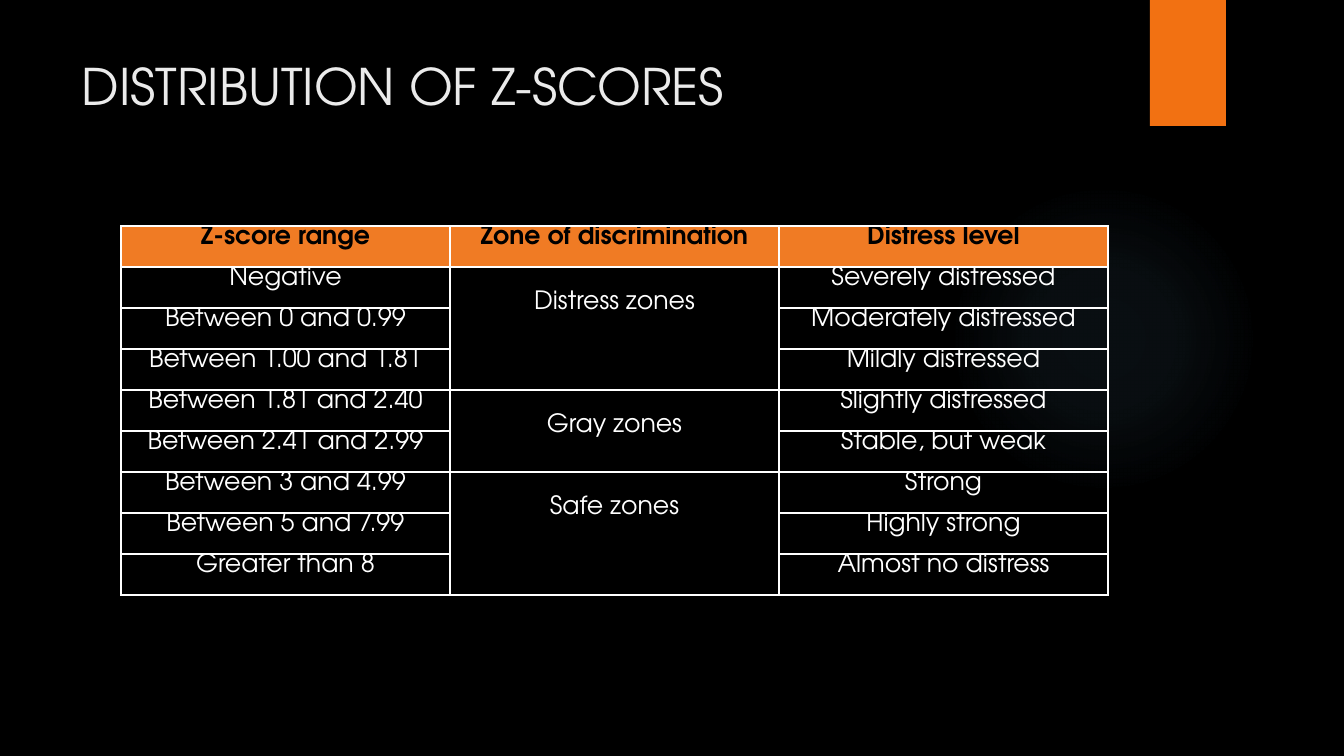
import dataclasses

import lxml.etree
import pptx
import pptx.dml.color
import pptx.enum.shapes
import pptx.enum.text
import pptx.oxml
import pptx.oxml.ns
import pptx.util

EMU_PER_PX = 914400 / 100.8
SLIDE_SIZE = (1344, 756)


@dataclasses.dataclass(frozen=True)
class Theme:
    font: str = "TeX Gyre Adventor"
    background: str = "000000"
    glow: str = "7AC4F0"
    accent: str = "F27112"
    header_fill: str = "F07B24"
    header_text: str = "000000"
    body_text: str = "FFFFFF"
    title_text: str = "EBEBEB"
    border: str = "FFFFFF"
    title_size: int = 36
    table_size: int = 18


THEME = Theme()
COLUMN_TITLES = ["Z-score range", "Zone of discrimination", "Distress level"]
ZONES = [
    ("Distress zones", [
        ("Negative", "Severely distressed"),
        ("Between 0 and 0.99", "Moderately distressed"),
        ("Between 1.00 and 1.81", "Mildly distressed"),
    ]),
    ("Gray zones", [
        ("Between 1.81 and 2.40", "Slightly distressed"),
        ("Between 2.41 and 2.99", "Stable, but weak"),
    ]),
    ("Safe zones", [
        ("Between 3 and 4.99", "Strong"),
        ("Between 5 and 7.99", "Highly strong"),
        ("Greater than 8", "Almost no distress"),
    ]),
]


def px(length):
    return pptx.util.Emu(round(length * EMU_PER_PX))


def rgb(value):
    return pptx.dml.color.RGBColor.from_string(value)


def apply_format(target, values):
    for name, value in values.items():
        setattr(target, name, value)


def write_text(frame, text, size, color, bold=False, **paragraph_format):
    paragraph = frame.paragraphs[0]
    apply_format(paragraph, paragraph_format)
    run = paragraph.add_run()
    run.text = text
    apply_format(run.font, {
        "name": THEME.font, "size": pptx.util.Pt(size), "bold": bold,
    })
    run.font.color.rgb = rgb(color)


def add_plain_shape(slide, kind, box):
    shape = slide.shapes.add_shape(kind, *map(px, box))
    shape.shadow.inherit = False
    shape.line.fill.background()
    return shape


def add_glow(slide, box):
    glow = add_plain_shape(slide, pptx.enum.shapes.MSO_SHAPE.OVAL, box)
    glow.fill.background()
    stops = "".join(
        f'<a:gs pos="{position * 1000}"><a:srgbClr val="{THEME.glow}">'
        f'<a:alpha val="{alpha * 1000}"/></a:srgbClr></a:gs>'
        for position, alpha in [(0, 7), (36, 6), (69, 0)]
    )
    gradient = pptx.oxml.parse_xml(
        f'<a:gradFill {pptx.oxml.ns.nsdecls("a")}><a:gsLst>{stops}</a:gsLst>'
        '<a:path path="circle"><a:fillToRect l="50000" t="50000" '
        'r="50000" b="50000"/></a:path></a:gradFill>'
    )
    properties = glow.element.spPr
    properties.replace(properties.find(pptx.oxml.ns.qn("a:noFill")), gradient)


def add_accent_tab(slide, box):
    tab = add_plain_shape(slide, pptx.enum.shapes.MSO_SHAPE.RECTANGLE, box)
    tab.fill.solid()
    tab.fill.fore_color.rgb = rgb(THEME.accent)


def add_title(slide, box, text):
    frame = slide.shapes.add_textbox(*map(px, box)).text_frame
    frame.word_wrap = True
    write_text(frame, text, THEME.title_size, THEME.title_text)


def style_cell(cell, fill):
    apply_format(cell, {"margin_top": 0, "margin_bottom": 0})
    if fill:
        cell.fill.solid()
        cell.fill.fore_color.rgb = rgb(fill)
    else:
        cell.fill.background()
    properties = cell._tc.get_or_add_tcPr()
    for index, side in enumerate(["lnL", "lnR", "lnT", "lnB"]):
        properties.insert(index, pptx.oxml.parse_xml(
            f'<a:{side} {pptx.oxml.ns.nsdecls("a")} w="12700"><a:solidFill>'
            f'<a:srgbClr val="{THEME.border}"/></a:solidFill></a:{side}>'
        ))


def add_score_table(slide, box):
    left, top, width, height = box
    row_count = 1 + sum(len(levels) for _, levels in ZONES)
    column_count = len(COLUMN_TITLES)
    table = slide.shapes.add_table(row_count, column_count, *map(px, box)).table
    apply_format(table, {"first_row": False, "horz_banding": False})
    for column in table.columns:
        column.width = px(width / column_count)
    for row_index, row in enumerate(table.rows):
        row.height = px(height / row_count)
        for cell in row.cells:
            style_cell(cell, None if row_index else THEME.header_fill)

    def write_cell(row, column, text, color=THEME.body_text, **options):
        write_text(table.cell(row, column).text_frame, text, THEME.table_size, color,
                   alignment=pptx.enum.text.PP_ALIGN.CENTER, **options)

    for column, text in enumerate(COLUMN_TITLES):
        write_cell(0, column, text, THEME.header_text, bold=True)
    first = 1
    for zone, levels in ZONES:
        last = first + len(levels) - 1
        table.cell(first, 1).merge(table.cell(last, 1))
        write_cell(first, 1, zone, line_spacing=2.0)
        for row, (score_range, distress_level) in enumerate(levels, first):
            write_cell(row, 0, score_range)
            write_cell(row, 2, distress_level)
        first = last + 1


def build_score_slide(presentation):
    slide = presentation.slides.add_slide(presentation.slide_layouts[6])
    slide.background.fill.solid()
    slide.background.fill.fore_color.rgb = rgb(THEME.background)
    add_glow(slide, (949, 184, 310, 310))
    add_accent_tab(slide, (1150, 0, 76, 126))
    add_title(slide, (72, 50, 1037, 154), "DISTRIBUTION OF Z-SCORES")
    add_score_table(slide, (121, 226, 987, 369))


def main():
    presentation = pptx.Presentation()
    slide_width, slide_height = map(px, SLIDE_SIZE)
    apply_format(presentation, {"slide_width": slide_width, "slide_height": slide_height})
    build_score_slide(presentation)
    presentation.save("out.pptx")


if __name__ == "__main__":
    main()
